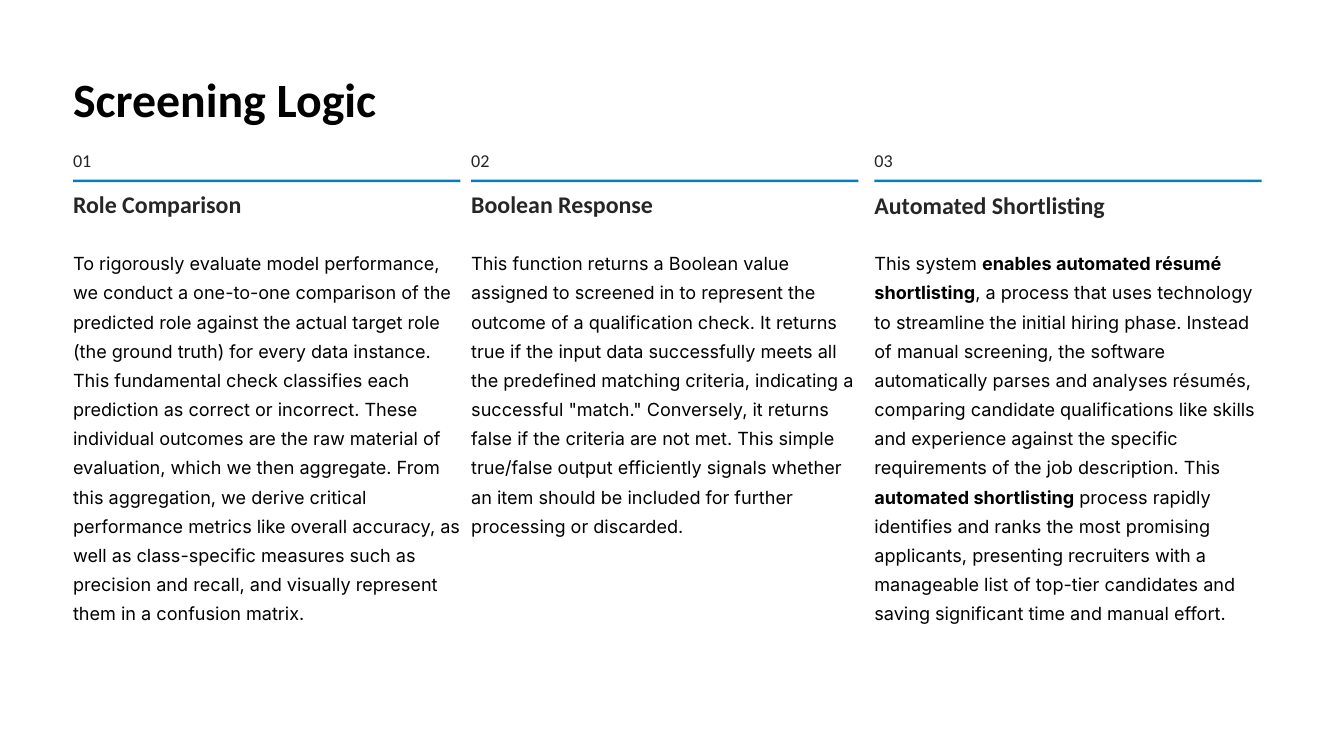
from dataclasses import dataclass

from pptx import Presentation
from pptx.dml.color import RGBColor
from pptx.enum.shapes import MSO_SHAPE as Shape
from pptx.enum.text import MSO_AUTO_SIZE as AutoSize
from pptx.util import Pt

PX = 9144  # EMU per px, 100 px to the inch


@dataclass(frozen=True)
class TextStyle:
    font: str
    size: float
    color: str
    leading: float
    bold: bool = False


@dataclass(frozen=True)
class Theme:
    accent: str = "007EBD"
    title: TextStyle = TextStyle("Calibri", 41, "000000", 51, True)
    number: TextStyle = TextStyle("Calibri", 15.5, "272525", 25)
    heading: TextStyle = TextStyle("Calibri", 20.5, "272525", 25.5, True)
    body: TextStyle = TextStyle("Inter", 15.5, "000000", 25)


class SlideBuilder:
    def __init__(self, s, theme):
        self.s = s
        self.theme = theme

    def text(self, x, y, w, h, content, style, wrap=False):
        """Add a text box; every second part between ** marks is bold."""
        box = self.s.shapes.add_textbox(x * PX, y * PX, w * PX, h * PX)
        tf = box.text_frame
        tf.margin_left = tf.margin_right = tf.margin_top = tf.margin_bottom = 0
        tf.word_wrap = wrap
        tf.auto_size = AutoSize.NONE
        p = tf.paragraphs[0]
        p.line_spacing = Pt(style.leading)
        for i, part in enumerate(content.split("**")):
            r = p.add_run()
            r.text = part
            r.font.name = style.font
            r.font.size = Pt(style.size)
            r.font.bold = style.bold or i % 2 == 1
            r.font.color.rgb = RGBColor.from_string(style.color)

    def rule(self, x, y, w, h):
        sp = self.s.shapes.add_shape(Shape.RECTANGLE, x * PX, y * PX, w * PX, h * PX)
        sp.shadow.inherit = False
        sp.fill.solid()
        sp.fill.fore_color.rgb = RGBColor.from_string(self.theme.accent)
        sp.line.fill.background()

    def column(self, number, x, heading_y, heading, body):
        width = 461
        self.text(x, 169, 22, 27, f"{number:02}", self.theme.number)
        self.rule(x, 214, width, 3)
        self.text(x, heading_y, 308, 36, heading, self.theme.heading)
        self.text(x, 292, width, 464, body, self.theme.body, wrap=True)


COLUMNS = [
    (87, 225, "Role Comparison",
     "To rigorously evaluate model performance, we conduct a one-to-one comparison of the "
     "predicted role against the actual target role (the ground truth) for every data instance. "
     "This fundamental check classifies each prediction as correct or incorrect. These "
     "individual outcomes are the raw material of evaluation, which we then aggregate. From "
     "this aggregation, we derive critical performance metrics like overall accuracy, as well "
     "as class-specific measures such as precision and recall, and visually represent them in "
     "a confusion matrix."),
    (561, 224, "Boolean Response",
     "This function returns a Boolean value assigned to screened in to represent the outcome of "
     "a qualification check. It returns true if the input data successfully meets all the "
     "predefined matching criteria, indicating a successful \"match.\" Conversely, it returns "
     "false if the criteria are not met. This simple true/false output efficiently signals "
     "whether an item should be included for further processing or discarded."),
    (1041, 226, "Automated Shortlisting",
     "This system **enables automated résumé shortlisting**, a process that uses technology to "
     "streamline the initial hiring phase. Instead of manual screening, the software "
     "automatically parses and analyses résumés, comparing candidate qualifications like skills "
     "and experience against the specific requirements of the job description. This "
     "**automated shortlisting** process rapidly identifies and ranks the most promising "
     "applicants, presenting recruiters with a manageable list of top-tier candidates and "
     "saving significant time and manual effort."),
]


def main():
    prs = Presentation()
    prs.slide_width, prs.slide_height = 1600 * PX, 900 * PX
    theme = Theme()
    slide = SlideBuilder(prs.slides.add_slide(prs.slide_layouts[6]), theme)
    slide.text(87, 80, 570, 71, "Screening Logic", theme.title)
    for number, column in enumerate(COLUMNS, start=1):
        slide.column(number, *column)
    prs.save("out.pptx")


if __name__ == "__main__":
    main()
